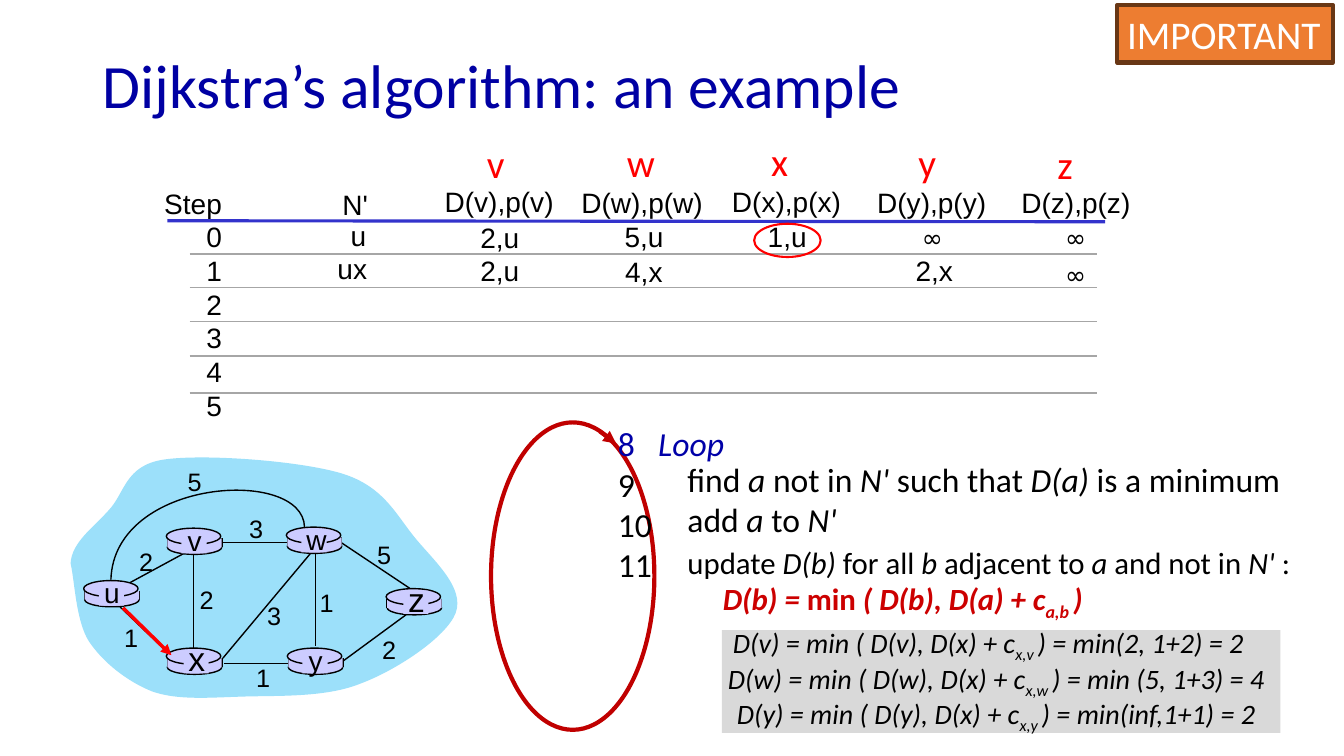
from dataclasses import dataclass
from typing import NamedTuple

from lxml.etree import SubElement
from pptx import Presentation
from pptx.dml.color import RGBColor
from pptx.enum.shapes import MSO_CONNECTOR, MSO_SHAPE
from pptx.enum.text import MSO_ANCHOR, PP_ALIGN
from pptx.oxml.ns import qn
from pptx.util import Inches, Pt


@dataclass(frozen=True)
class Theme:
    title: str = "0000A3"
    loop: str = "0000A8"
    black: str = "000000"
    white: str = "FFFFFF"
    red: str = "FF0000"
    formula: str = "CC0000"
    ring: str = "C00000"
    head_rule: str = "3333CC"
    row_rule: str = "A6A6A6"
    cloud: str = "9CE0FA"
    router: str = "CCCCFF"
    panel: str = "D9D9D9"
    badge: str = "ED7D31"
    badge_line: str = "683715"
    body_font: str = "Calibri"
    data_font: str = "Arial"
    symbol_font: str = "Comic Neue"
    title_size: int = 44
    head_size: int = 28
    code_size: int = 24
    update_size: int = 22
    data_size: int = 20
    small_size: int = 18


class Router(NamedTuple):
    name: str
    x: float
    y: float
    size: int = 20


class Cost(NamedTuple):
    text: str
    cx: float
    cy: float


class Edge(NamedTuple):
    x1: float
    y1: float
    x2: float
    y2: float


class Entry(NamedTuple):
    text: str
    x: float
    y: float
    w: float


T = Theme()
NODES = [Entry("v", 4.73, 1.33, 0.38), Entry("w", 6.12, 1.32, 0.48), Entry("x", 7.55, 1.31, 0.37),
         Entry("y", 9.01, 1.32, 0.38), Entry("z", 10.39, 1.34, 0.36)]
ENTRIES = [
    Entry("N'", 3.29, 1.81, 0.46), Entry("D(v),p(v)", 4.3, 1.78, 1.29),
    Entry("D(w),p(w)", 5.65, 1.79, 1.42), Entry("D(x),p(x)", 7.15, 1.78, 1.29),
    Entry("D(y),p(y)", 8.59, 1.79, 1.29), Entry("D(z),p(z)", 10.02, 1.79, 1.29),
    Entry("u", 3.37, 2.12, 0.36), Entry("2,u", 4.66, 2.14, 0.59), Entry("5,u", 6.09, 2.13, 0.59),
    Entry("1,u", 7.51, 2.13, 0.59), Entry("∞", 9.04, 2.16, 0.41), Entry("∞", 10.46, 2.16, 0.41),
    Entry("ux", 3.24, 2.45, 0.5), Entry("2,u", 4.66, 2.47, 0.59), Entry("4,x", 6.09, 2.48, 0.58),
    Entry("2,x", 8.97, 2.47, 0.58), Entry("∞", 10.46, 2.52, 0.41),
]
ROUTERS = [Router("u", 0.83, 5.76), Router("x", 1.65, 6.43, 24), Router("v", 1.65, 5.24),
           Router("w", 2.84, 5.23), Router("y", 2.85, 6.43), Router("z", 3.83, 5.84, 24)]
EDGES = [Edge(1.29, 5.78, 1.88, 5.46), Edge(3.13, 5.5, 3.13, 6.41), Edge(1.92, 5.51, 1.92, 6.45),
         Edge(2.21, 6.53, 3.08, 5.49), Edge(3.4, 6.56, 4.04, 6.09), Edge(2.86, 6.58, 2.22, 6.58),
         Edge(1.67, 6.48, 1.19, 6.02), Edge(2.85, 5.38, 2.21, 5.38), Edge(4.07, 5.84, 3.38, 5.38)]
COSTS = [Cost("2", 1.45, 5.57), Cost("2", 2.05, 5.95), Cost("1", 1.3, 6.32), Cost("3", 2.72, 6.11),
         Cost("1", 2.61, 6.72), Cost("1", 3.24, 5.98), Cost("2", 3.86, 6.44), Cost("5", 3.81, 5.5),
         Cost("3", 2.54, 5.24), Cost("5", 1.93, 4.78)]
CLOUD = [(0.7, 5.59), (0.71, 5.38), (0.93, 5.23), (1.08, 5.06), (1.24, 4.89), (1.24, 4.62),
         (1.62, 4.56), (2.01, 4.5), (2.98, 4.57), (3.4, 4.7), (3.81, 4.83), (3.93, 5.11),
         (4.12, 5.34), (4.31, 5.57), (4.61, 5.83), (4.52, 6.08), (4.43, 6.32), (3.93, 6.65),
         (3.58, 6.78), (3.24, 6.92), (2.77, 6.9), (2.43, 6.91), (2.08, 6.92), (1.77, 6.95),
         (1.51, 6.86), (1.26, 6.76), (1.02, 6.57), (0.88, 6.36), (0.75, 6.15), (0.74, 5.75),
         (0.7, 5.59)]
ARC = [(3.02, 5.23), (3.01, 4.63), (1.13, 4.74), (1.1, 5.75)]


def write_text(p, text: str, *, size: int, color: str = T.black, font: str = T.body_font,
               bold: bool = False, align=PP_ALIGN.LEFT, indent: float = 0) -> None:
    """Fill a paragraph; *stars* enclose italics and _underscores_ subscripts."""
    p.alignment = align
    if indent:
        p._p.get_or_add_pPr().set("marL", str(Inches(indent)))
    for i, chunk in enumerate(text.split("*")):
        for j, piece in enumerate(chunk.split("_")):
            if not piece:
                continue
            r = p.add_run()
            r.text = piece
            r.font.size, r.font.name = Pt(size), font
            r.font.bold, r.font.italic = bold, i % 2 == 1
            r.font.color.rgb = RGBColor.from_string(color)
            if j % 2:
                r.font._element.set("baseline", "-25000")


def add_text(shapes, x: float, y: float, w: float, h: float, lines: list[str], *,
             wrap: bool = True, **fmt):
    tf = shapes.add_textbox(Inches(x), Inches(y), Inches(w), Inches(h)).text_frame
    tf.word_wrap = wrap
    for i, line in enumerate(lines):
        write_text(tf.add_paragraph() if i else tf.paragraphs[0], line, **fmt)
    return tf


def add_label(shapes, text: str, cx: float, cy: float, size: int) -> None:
    h = 0.1 + size / 60
    add_text(shapes, cx - 0.18, cy - h / 2, 0.36, h, [text], wrap=False, size=size,
             font=T.data_font, align=PP_ALIGN.CENTER)


def paint(sp, fill: str = "", line: str = "", width: float = 1):
    sp.shadow.inherit = False
    for part, color in ((sp.fill, fill), (sp.line.fill, line)):
        if color:
            part.solid()
            part.fore_color.rgb = RGBColor.from_string(color)
        else:
            part.background()
    if line:
        sp.line.width = Pt(width)
    return sp


def add_preset(shapes, kind, x: float, y: float, w: float, h: float, **style):
    return paint(shapes.add_shape(kind, Inches(x), Inches(y), Inches(w), Inches(h)), **style)


def add_line(shapes, edge: Edge, color: str = T.black, width: float = 1, arrow: bool = False) -> None:
    c = shapes.add_connector(MSO_CONNECTOR.STRAIGHT, *map(Inches, edge))
    c.line.color.rgb = RGBColor.from_string(color)
    c.line.width = Pt(width)
    if arrow:
        SubElement(c.line._get_or_add_ln(), qn("a:tailEnd"), type="triangle")
    SubElement(c._element.spPr, qn("a:effectLst"))


def add_curve(shapes, knots: list[tuple[float, float]], closed: bool, **style) -> None:
    """Build a freeform whose points after the first are taken in threes as cubic segments."""
    outline = shapes.build_freeform(*map(Inches, knots[0]))
    outline.add_line_segments([(Inches(x), Inches(y)) for x, y in knots[1:]], close=closed)
    sp = paint(outline.convert_to_shape(), **style)
    steps = list(sp._element.iter(qn("a:lnTo")))
    for i in range(0, len(steps), 3):
        cubic = steps[i].getparent().makeelement(qn("a:cubicBezTo"))
        steps[i].addprevious(cubic)
        for step in steps[i:i + 3]:
            cubic.append(step[0])
            step.getparent().remove(step)


def add_router(shapes, router: Router) -> None:
    x, y = router.x, router.y
    big = router.size > T.data_size
    add_preset(shapes, MSO_SHAPE.OVAL, x + 0.01, y + 0.12, 0.54, 0.14, fill=T.router, line=T.black)
    for side in (x + 0.01, x + 0.55):
        add_line(shapes, Edge(side, y + 0.1, side, y + 0.19))
    add_preset(shapes, MSO_SHAPE.RECTANGLE, x + 0.01, y + 0.1, 0.54, 0.09, fill=T.router)
    add_preset(shapes, MSO_SHAPE.OVAL, x, y, 0.54, 0.16, fill=T.router, line=T.black)
    add_preset(shapes, MSO_SHAPE.RECTANGLE, x + (0.17 if big else 0.15), y + 0.02, 0.25, 0.23,
               fill=T.router)
    add_label(shapes, router.name, x + (0.3 if big else 0.28), y + (0.1 if big else 0.12), router.size)


def add_distances(shapes) -> None:
    add_text(shapes, 1.53, 1.8, 0.77, 2.43, ["Step", *map(str, range(6))], wrap=False,
             size=T.data_size, font=T.data_font, align=PP_ALIGN.RIGHT)
    for node in NODES:
        add_text(shapes, node.x, node.y, node.w, 0.57, [node.text], wrap=False,
                 size=T.head_size, color=T.red)
    for entry in ENTRIES:
        infinite = entry.text == "∞"
        add_text(shapes, entry.x, entry.y, entry.w, 0.4 if infinite else 0.44, [entry.text],
                 wrap=False, align=PP_ALIGN.RIGHT, size=T.small_size if infinite else T.data_size,
                 font=T.symbol_font if infinite else T.data_font)
    add_line(shapes, Edge(1.66, 2.19, 10.96, 2.2), T.head_rule, 2.25)
    for y in (2.52, 2.85, 3.19, 3.53, 3.9):
        add_line(shapes, Edge(1.88, y, 10.88, y), T.row_rule)
    add_preset(shapes, MSO_SHAPE.OVAL, 7.48, 2.22, 0.66, 0.33, line=T.red, width=1.5)


def add_network(shapes) -> None:
    add_curve(shapes, CLOUD, True, fill=T.cloud)
    for edge in EDGES:
        add_line(shapes, edge)
    add_curve(shapes, ARC, False, line=T.black)
    for router in ROUTERS:
        add_router(shapes, router)
    for cost in COSTS:
        add_label(shapes, *cost, T.small_size)
    add_line(shapes, Edge(1.22, 6.03, 1.7, 6.5), T.red, 2.5, arrow=True)


def add_loop(shapes) -> None:
    add_preset(shapes, MSO_SHAPE.OVAL, 4.87, 4.19, 1.62, 3.05, line=T.ring, width=3)
    add_line(shapes, Edge(5.95, 4.28, 6.11, 4.4), T.ring, 3, arrow=True)
    tf = add_text(shapes, 6.03, 4.15, 1.34, 1.72, ["8\t*Loop*"], size=T.code_size, color=T.loop)
    tabs = SubElement(tf.paragraphs[0]._p.get_or_add_pPr(), qn("a:tabLst"))
    SubElement(tabs, qn("a:tab"), pos=str(Inches(0.4)), algn="l")
    for number in ("9", "10", "11"):
        write_text(tf.add_paragraph(), number, size=T.code_size)
    add_text(shapes, 6.72, 4.5, 6.34, 0.91, size=T.code_size, lines=[
        "find *a* not in *N' *such that *D(a) *is a minimum", "add *a* to *N'*"])
    tf = add_text(shapes, 6.72, 5.34, 6.31, 0.84, size=T.update_size, lines=[
        "update *D(b) *for all *b* adjacent to *a* and not in *N' *:"])
    write_text(tf.add_paragraph(), "*D(b) = *min* ( D(b), D(a) + c_a,b _)*", size=T.update_size,
               color=T.formula, bold=True, indent=0.35)
    add_preset(shapes, MSO_SHAPE.RECTANGLE, 7.16, 6.25, 5.54, 1.02, fill=T.panel)
    results = [("v", 7.17, "min(2, 1+2) = 2"), ("w", 7.12, "min (5, 1+3) = 4"),
               ("y", 7.21, "min(inf,1+1) = 2")]
    for i, (node, x, result) in enumerate(results):
        add_text(shapes, x, 6.16 + 0.35 * i, 5.6, 0.44, size=T.data_size, lines=[
            f"*D({node}) = min ( D({node}), D(x) + c_x,{node} _) = {result}*"])


def main() -> None:
    prs = Presentation()
    prs.slide_width, prs.slide_height = Inches(13.33), Inches(7.5)
    s = prs.slides.add_slide(prs.slide_layouts[5])
    title = s.shapes.title
    title.left, title.top, title.width, title.height = map(Inches, (0.92, 0.39, 12.23, 0.98))
    title.text_frame.vertical_anchor = MSO_ANCHOR.MIDDLE
    p = title.text_frame.paragraphs[0]
    p.line_spacing = 0.9
    write_text(p, "Dijkstra’s algorithm: an example", size=T.title_size, color=T.title)
    add_distances(s.shapes)
    add_loop(s.shapes)
    add_network(s.shapes.add_group_shape().shapes)
    badge = add_preset(s.shapes, MSO_SHAPE.RECTANGLE, 11.08, 0.05, 2.14, 0.57,
                       fill=T.badge, line=T.badge_line, width=3)
    badge.text_frame.word_wrap = False
    write_text(badge.text_frame.paragraphs[0], "IMPORTANT", size=T.head_size, color=T.white)
    prs.save("out.pptx")


if __name__ == "__main__":
    main()
